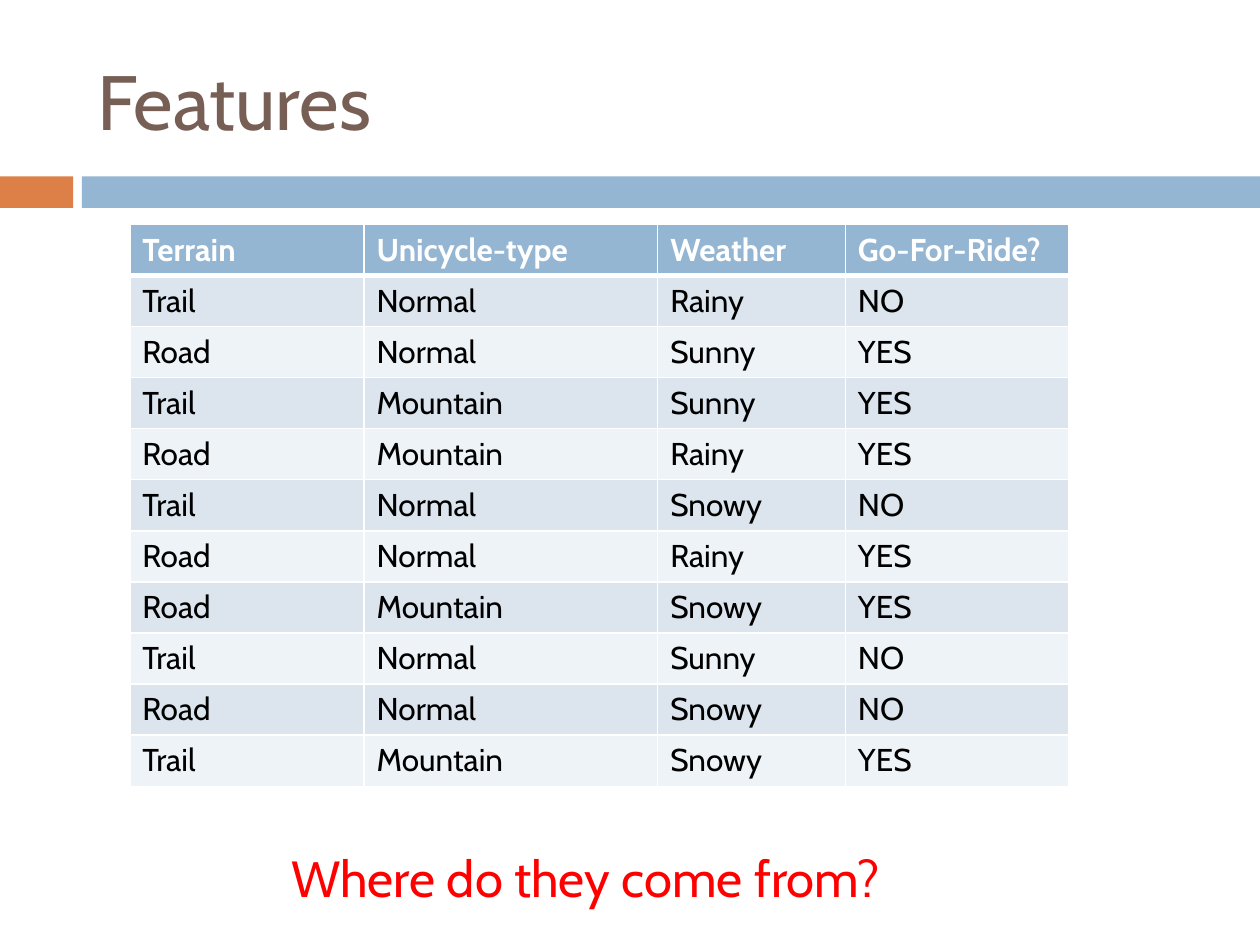
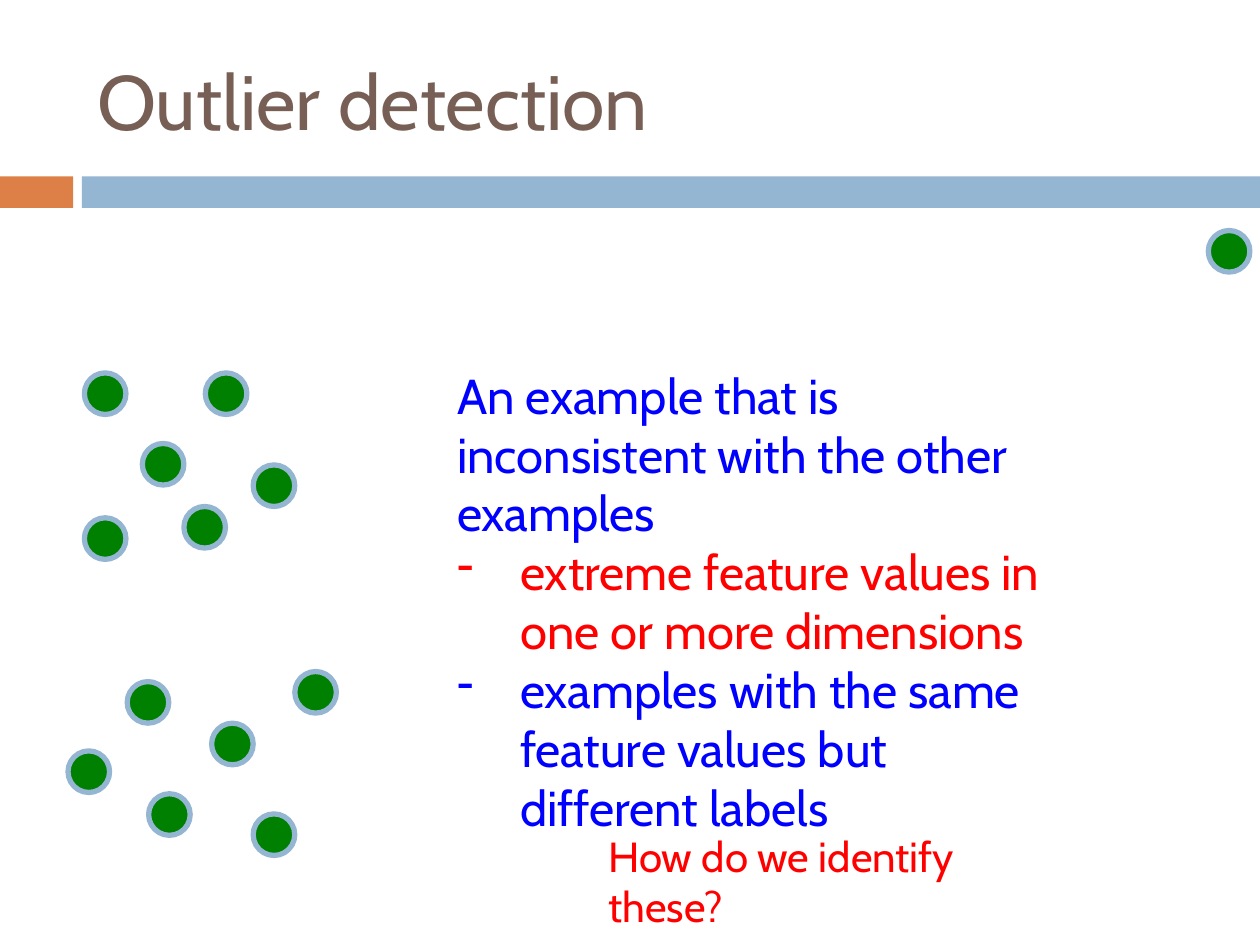
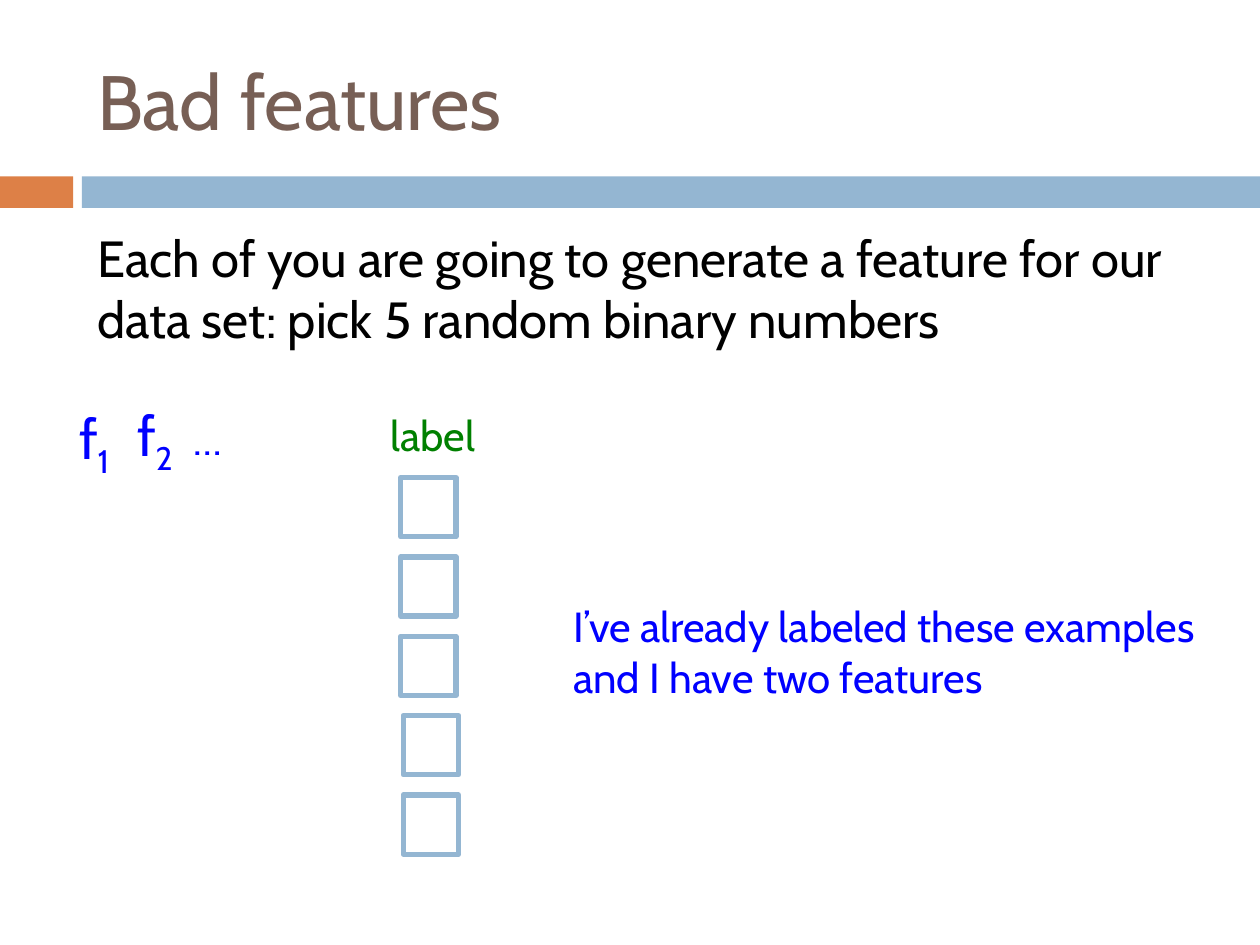
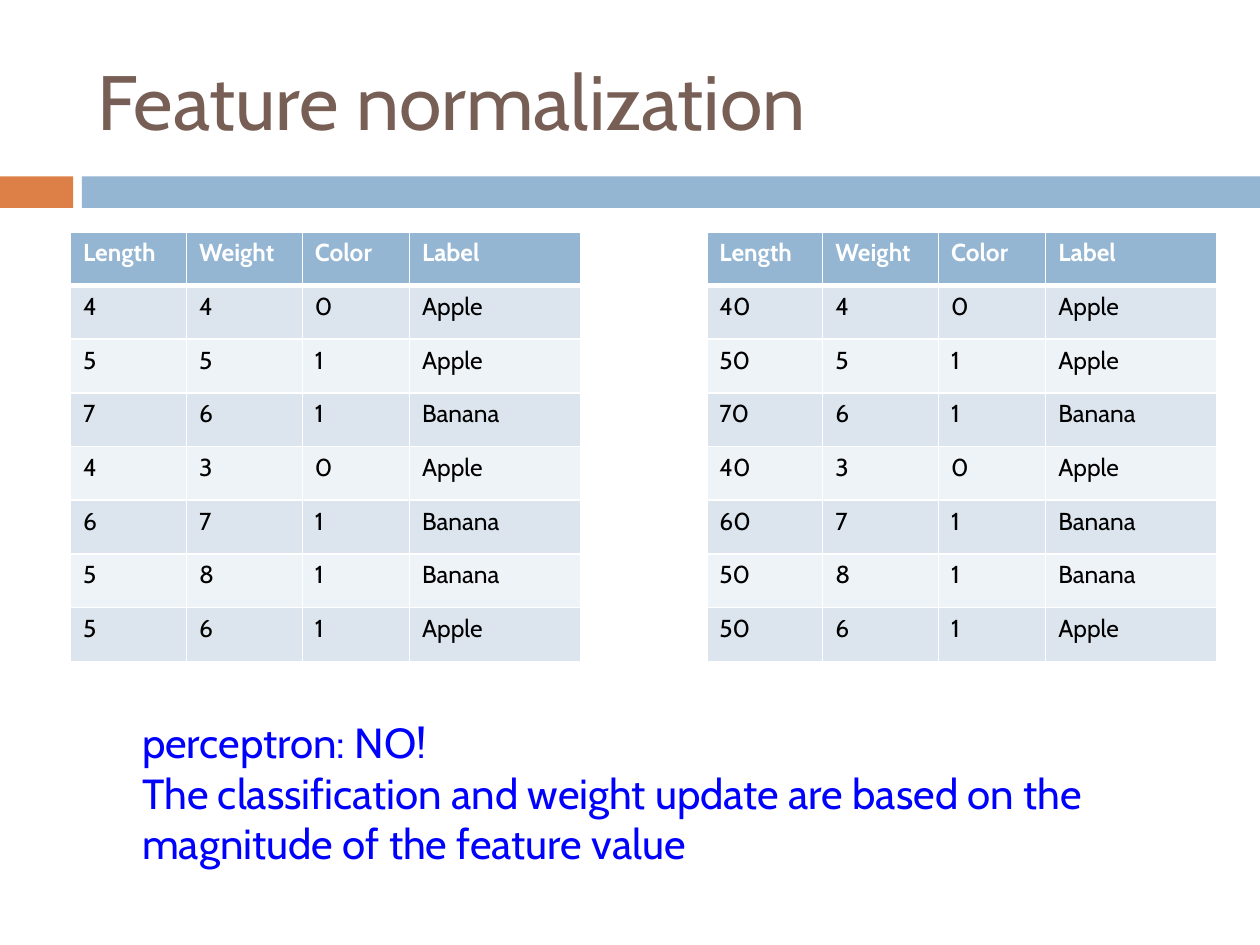
"""Build four lecture slides about features for machine learning."""
from dataclasses import dataclass
from typing import Optional

from lxml.etree import SubElement
from pptx import Presentation
from pptx.dml.color import RGBColor as RGB
from pptx.enum.shapes import MSO_SHAPE as SHAPE
from pptx.enum.text import MSO_ANCHOR as ANCHOR, MSO_AUTO_SIZE as AUTO, PP_ALIGN as ALIGN
from pptx.oxml.ns import qn
from pptx.util import Inches, Pt

FONT = "Cabin"
COLORS = {
    "title": "775F55", "orange": "DD8047", "band": "94B6D2",
    "odd": "DCE5EE", "even": "EEF3F7", "white": "FFFFFF", "black": "000000",
    "red": "FF0000", "blue": "0000FF", "green": "008000",
}
TITLE_ONLY, TITLE_BODY = 5, 1


@dataclass(frozen=True)
class Box:
    left: float
    top: float
    width: float
    height: float

    def inches(self) -> tuple:
        return tuple(Inches(v) for v in (self.left, self.top, self.width, self.height))


@dataclass(frozen=True)
class Para:
    text: str
    color: str
    size: float = 24
    sub: str = ""
    bullet: str = ""


@dataclass(frozen=True)
class Grid:
    box: Box
    widths: tuple
    row_height: float
    size: float
    rows: list


def rgb(name: str) -> RGB:
    return RGB.from_string(COLORS[name])


def set_all(obj, values: dict) -> None:
    for key, value in values.items():
        setattr(obj, key, value)


def add_run(p, text: str, color: str, size: float, bold: bool = False):
    r = p.add_run()
    r.text = text
    set_all(r.font, {"name": FONT, "size": Pt(size), "bold": bold})
    r.font.color.rgb = rgb(color)
    return r


def write(tf, paras: list) -> None:
    for i, para in enumerate(paras):
        p = tf.add_paragraph() if i else tf.paragraphs[0]
        add_run(p, para.text, para.color, para.size)
        if para.sub:
            r = add_run(p, para.sub, para.color, para.size)
            r._r.get_or_add_rPr().set("baseline", "-25000")
        if para.bullet:
            pPr = p._p.get_or_add_pPr()
            pPr.set("marL", str(Inches(0.5)))
            pPr.set("indent", str(-Inches(0.5)))
            SubElement(pPr, qn("a:buChar")).set("char", para.bullet)


def place(sp, box: Box) -> None:
    set_all(sp, dict(zip(("left", "top", "width", "height"), box.inches())))


def add_text(slide, box: Box, paras: list, wrap: bool = True) -> None:
    sp = slide.shapes.add_textbox(*box.inches())
    set_all(sp.text_frame, {"word_wrap": wrap, "auto_size": AUTO.SHAPE_TO_FIT_TEXT})
    write(sp.text_frame, paras)


def add_shape(slide, kind, box: Box, fill: Optional[str] = None, line: Optional[str] = None):
    sp = slide.shapes.add_shape(kind, *box.inches())
    sp.shadow.inherit = False
    if fill:
        sp.fill.solid()
        sp.fill.fore_color.rgb = rgb(fill)
    else:
        sp.fill.background()
    if line:
        sp.line.color.rgb = rgb(line)
        sp.line.width = Pt(3)
    else:
        sp.line.fill.background()
    return sp


def add_slide(prs, layout: int, title: str):
    slide = prs.slides.add_slide(prs.slide_layouts[layout])
    sp = slide.shapes.title
    place(sp, Box(0.67, 0.25, 8.92, 1.08))
    set_all(sp.text_frame, {"vertical_anchor": ANCHOR.MIDDLE, "auto_size": AUTO.NONE})
    write(sp.text_frame, [Para(title, "title", 44)])
    sp.text_frame.paragraphs[0].alignment = ALIGN.LEFT
    return slide


def fill_body(slide, box: Box, para: Para) -> None:
    sp = slide.placeholders[1]
    place(sp, box)
    tf = sp.text_frame
    tf.auto_size = AUTO.NONE
    write(tf, [para])
    p = tf.paragraphs[0]
    p.space_before = Pt(7)
    pPr = p._p.get_or_add_pPr()
    set_none = {"marL": "0", "indent": "0"}
    for key, value in set_none.items():
        pPr.set(key, value)
    SubElement(pPr, qn("a:buNone"))


def add_borders(cell, row: int) -> None:
    thick = {0: "lnB", 1: "lnT"}.get(row)
    tcPr = cell._tc.get_or_add_tcPr()
    for side in ("lnL", "lnR", "lnT", "lnB"):
        ln = SubElement(tcPr, qn(f"a:{side}"))
        ln.set("w", str(Pt(3 if side == thick else 1)))
        color = SubElement(SubElement(ln, qn("a:solidFill")), qn("a:srgbClr"))
        color.set("val", COLORS["white"])


def add_grid(slide, grid: Grid) -> None:
    sp = slide.shapes.add_table(len(grid.rows), len(grid.widths), *grid.box.inches())
    table = sp.table
    for column, width in zip(table.columns, grid.widths):
        column.width = Inches(width)
    for i, values in enumerate(grid.rows):
        table.rows[i].height = Inches(grid.row_height)
        fill = ("odd" if i % 2 else "even") if i else "band"
        for j, value in enumerate(values):
            cell = table.cell(i, j)
            add_borders(cell, i)
            cell.fill.solid()
            cell.fill.fore_color.rgb = rgb(fill)
            add_run(cell.text_frame.paragraphs[0], value,
                    "black" if i else "white", grid.size, bold=not i)
    sp.height = Inches(grid.box.height)


def add_bands(prs, slide) -> None:
    """Draw the two bands and move them to the master that all slides share."""
    tree = prs.slide_master.shapes.element
    bands = ((Box(0, 1.4, 0.58, 0.25), "orange"), (Box(0.65, 1.4, 9.35, 0.25), "band"))
    for i, (box, color) in enumerate(bands):
        tree.insert(2 + i, add_shape(slide, SHAPE.RECTANGLE, box, color).element)


def features_slide(prs):
    slide = add_slide(prs, TITLE_BODY, "Features")
    fill_body(slide, Box(2.21, 6.67, 5.84, 0.68), Para("Where do they come from?", "red", 29))
    rides = """Terrain Unicycle-type Weather Go-For-Ride?
        Trail Normal Rainy NO
        Road Normal Sunny YES
        Trail Mountain Sunny YES
        Road Mountain Rainy YES
        Trail Normal Snowy NO
        Road Normal Rainy YES
        Road Mountain Snowy YES
        Trail Normal Sunny NO
        Road Normal Snowy NO
        Trail Mountain Snowy YES"""
    rows = [line.split() for line in rides.splitlines()]
    add_grid(slide, Grid(Box(1.03, 1.78, 7.45, 4.7), (1.86, 2.33, 1.49, 1.77), 0.25, 18, rows))
    return slide


def outlier_slide(prs) -> None:
    slide = add_slide(prs, TITLE_ONLY, "Outlier detection")
    lower = [(0.54, 5.96), (1.01, 5.41), (1.18, 6.3), (1.68, 5.74), (2.01, 6.46), (2.34, 5.33)]
    upper = [(0.67, 4.11), (1.13, 3.52), (1.46, 4.02), (0.67, 2.96), (1.63, 2.96), (2.01, 3.69)]
    outlier = (9.59, 1.83)
    for left, top in [*lower, *upper, outlier]:
        add_shape(slide, SHAPE.OVAL, Box(left, top, 0.33, 0.33), "green", "band")
    add_text(slide, Box(3.53, 2.85, 5.1, 3.4), [
        Para("An example that is inconsistent with the other examples", "blue", 28),
        Para("extreme feature values in one or more dimensions", "red", 28, bullet="-"),
        Para("examples with the same feature values but different labels", "blue", 28, bullet="-"),
    ])
    add_text(slide, Box(4.73, 6.54, 3.74, 0.5), [Para("How do we identify these?", "red")])


def bad_features_slide(prs) -> None:
    slide = add_slide(prs, TITLE_BODY, "Bad features")
    fill_body(slide, Box(0.67, 1.75, 8.92, 1.38), Para(
        "Each of you are going to generate a feature for our data set: "
        "pick 5 random binary numbers", "black", 29))
    headings = [
        (Box(0.53, 3.15, 0.52, 0.64), Para("f", "blue", 32, sub="1")),
        (Box(0.99, 3.13, 0.52, 0.64), Para("f", "blue", 32, sub="2")),
        (Box(1.44, 3.23, 0.54, 0.5), Para("…", "blue")),
        (Box(3, 3.2, 0.89, 0.5), Para("label", "green")),
    ]
    for box, para in headings:
        add_text(slide, box, [para], wrap=False)
    for i in range(5):
        left = 3.18 if i < 3 else 3.2
        add_shape(slide, SHAPE.RECTANGLE, Box(left, 3.79 + 0.63 * i, 0.44, 0.47), line="band")
    add_text(slide, Box(4.45, 4.72, 5.14, 0.91), [
        Para("I’ve already labeled these examples and I have two features", "blue")])


def normalization_slide(prs) -> None:
    slide = add_slide(prs, TITLE_ONLY, "Feature normalization")
    header = ("Length", "Weight", "Color", "Label")
    fruits = [(4, 4, 0, "Apple"), (5, 5, 1, "Apple"), (7, 6, 1, "Banana"), (4, 3, 0, "Apple"),
              (6, 7, 1, "Banana"), (5, 8, 1, "Banana"), (5, 6, 1, "Apple")]
    for left, scale in ((0.56, 1), (5.61, 10)):
        rows = [header] + [(str(length * scale), str(weight), str(color), label)
                           for length, weight, color, label in fruits]
        add_grid(slide, Grid(Box(left, 1.84, 4.04, 3.41), (0.92, 0.92, 0.85, 1.36),
                             3.41 / len(rows), 14, rows))
    add_text(slide, Box(1.03, 5.64, 8.2, 1.31), [
        Para("perceptron: NO!", "blue"),
        Para("The classification and weight update are based on the "
             "magnitude of the feature value", "blue"),
    ])


def main() -> None:
    prs = Presentation()
    set_all(prs, {"slide_width": Inches(10), "slide_height": Inches(7.5)})
    add_bands(prs, features_slide(prs))
    outlier_slide(prs)
    bad_features_slide(prs)
    normalization_slide(prs)
    prs.save("out.pptx")


main()
